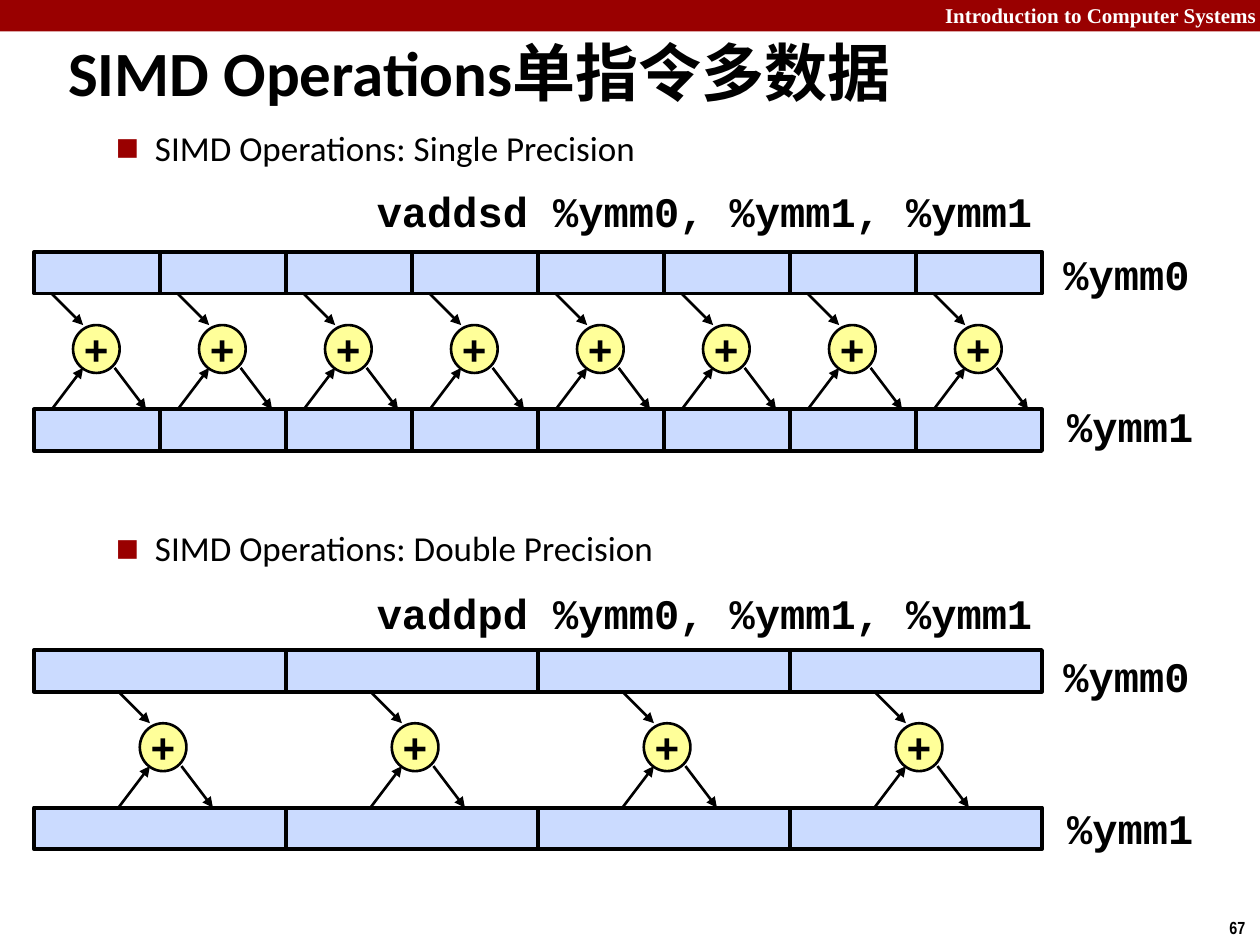
from lxml import etree
from pptx import Presentation
from pptx.dml.color import RGBColor
from pptx.enum import shapes, text
from pptx.oxml import ns
from pptx.util import Pt

PX = 9144  # EMU per px, 100 px to the inch
HUES = {"red": "990000", "white": "FFFFFF", "black": "000000",
        "cell": "CBDBFF", "plus": "FFFF99"}
CODE = {"name": "Courier New", "size": Pt(24), "bold": True}
LEFT, MID, RIGHT = text.PP_ALIGN.LEFT, text.PP_ALIGN.CENTER, text.PP_ALIGN.RIGHT


def hue(name):
    return RGBColor.from_string(HUES[name])


def emu(*sizes):
    return [size * PX for size in sizes]


def put(item, **vals):
    for key, val in vals.items():
        setattr(item, key, val)


def place(shape, *box):
    put(shape, **dict(zip(("left", "top", "width", "height"), emu(*box))))


def style(para, font, ink="black", align=LEFT):
    para.alignment = align
    put(para.font, **font)
    para.font.color.rgb = hue(ink)


def child(node, tag, **attrs):
    return etree.SubElement(node, ns.qn(tag), attrs)


def label(host, words, box, font, ink="black", align=LEFT, pad=None, wrap=False):
    frame = host.add_textbox(*emu(*box)).text_frame
    put(frame, word_wrap=wrap, auto_size=text.MSO_AUTO_SIZE.SHAPE_TO_FIT_TEXT)
    if pad is not None:
        inset(frame, pad)
    frame.text = words
    style(frame.paragraphs[0], font, ink, align)


def inset(frame, pad):
    for side in ("left", "top", "right", "bottom"):
        setattr(frame, "margin_" + side, pad * PX)


def block(host, kind, box, fill, width=None):
    shape = host.add_shape(kind, *emu(*box))
    shape.shadow.inherit = False
    shape.fill.solid()
    shape.fill.fore_color.rgb = hue(fill)
    if width is None:
        shape.line.fill.background()
    else:
        shape.line.width = Pt(width)
        shape.line.color.rgb = hue("black")
    return shape


def arrow(host, *ends):
    line = host.add_connector(shapes.MSO_CONNECTOR.STRAIGHT, *emu(*ends))
    line.line.width = Pt(1.5)
    line.line.color.rgb = hue("black")
    child(line.line._get_or_add_ln(), "a:tailEnd", type="triangle")
    child(line._element.spPr, "a:effectLst")


def adder(host, x, y):
    """Plus sign with two arrows in and one out; x, y is its top left."""
    disc = block(host, shapes.MSO_SHAPE.OVAL, (x + 17, y + 25, 37, 38), "plus", 1.5)
    frame = disc.text_frame
    put(frame, word_wrap=False, vertical_anchor=text.MSO_ANCHOR.MIDDLE, text="+")
    inset(frame, 5)
    style(frame.paragraphs[0], CODE, align=MID)
    arrow(host, x, y, x + 25, y + 25)
    arrow(host, x, y + 92, x + 25, y + 59)
    arrow(host, x + 50, y + 59, x + 75, y + 92)


def simd(slide, box, lanes, shift, code, drop):
    """Two registers of equal lanes, with an adder in each lane."""
    x, y, wide, high = box
    lane, cell = wide // lanes, 33
    host = slide.shapes.add_group_shape().shapes
    # Registers
    for top in (y, y + high - cell):
        for i in range(lanes):
            block(host, shapes.MSO_SHAPE.RECTANGLE,
                  (x + i * lane, top, lane, cell), "cell", 2.25)
    # Adders
    for i in range(lanes):
        adder(host, x + i * lane + shift, y + cell)
    # Instruction and register names
    for words, dx, dy, width in ((code, 267, -58, 535),
                                 ("%ymm0", 812, -8, 111),
                                 ("%ymm1", 815, 113, 111)):
        label(host, words, (x + dx, y + dy + drop, width, 50), CODE, pad=5)


def frame_marks(slide):
    """Top band with the course name, and the page number."""
    host = slide.shapes
    block(host, shapes.MSO_SHAPE.RECTANGLE, (0, 0, 1000, 25), "red")
    label(host, "Introduction to Computer Systems", (600, -3, 407, 30),
          {"name": "Times New Roman", "size": Pt(12), "bold": True},
          "white", RIGHT, wrap=True)
    label(host, "67", (966, 723, 34, 27),
          {"name": "Arial Narrow", "size": Pt(10), "bold": True})


def heading(slide, words, box):
    title = slide.shapes.title
    place(title, *box)
    frame = title.text_frame
    put(frame, text=words, vertical_anchor=text.MSO_ANCHOR.MIDDLE,
        auto_size=text.MSO_AUTO_SIZE.NONE)
    style(frame.paragraphs[0], {"name": "Calibri", "size": Pt(36), "bold": True})


def topics(slide, lines, box, gap):
    body = slide.placeholders[1]
    place(body, *box)
    frame = body.text_frame
    frame.text = "\n".join(lines)
    frame.auto_size = text.MSO_AUTO_SIZE.NONE
    for i, para in enumerate(frame.paragraphs):
        put(para, level=1, space_before=Pt(gap if i else 0))
        props = para._p.get_or_add_pPr()
        props.set("marL", str(81 * PX))
        props.set("indent", str(-31 * PX))
        child(child(props, "a:buClr"), "a:srgbClr", val=HUES["red"])
        child(props, "a:buSzPct", val="110000")
        child(props, "a:buChar", char="■")
        style(para, {"name": "Calibri", "size": Pt(20)})


def main():
    deck = Presentation()
    put(deck, slide_width=1000 * PX, slide_height=750 * PX)
    slide = deck.slides.add_slide(deck.slide_layouts[1])
    frame_marks(slide)
    heading(slide, "SIMD Operations单指令多数据", (44, 14, 953, 85))
    topics(slide, ("SIMD Operations: Single Precision",
                   "SIMD Operations: Double Precision"), (32, 95, 909, 588), 205)
    simd(slide, (27, 200, 800, 158), 8, 14, "vaddsd %ymm0, %ymm1, %ymm1", 0)
    simd(slide, (27, 516, 800, 158), 4, 67, "vaddpd %ymm0, %ymm1, %ymm1", 3)
    deck.save("out.pptx")


if __name__ == "__main__":
    main()
